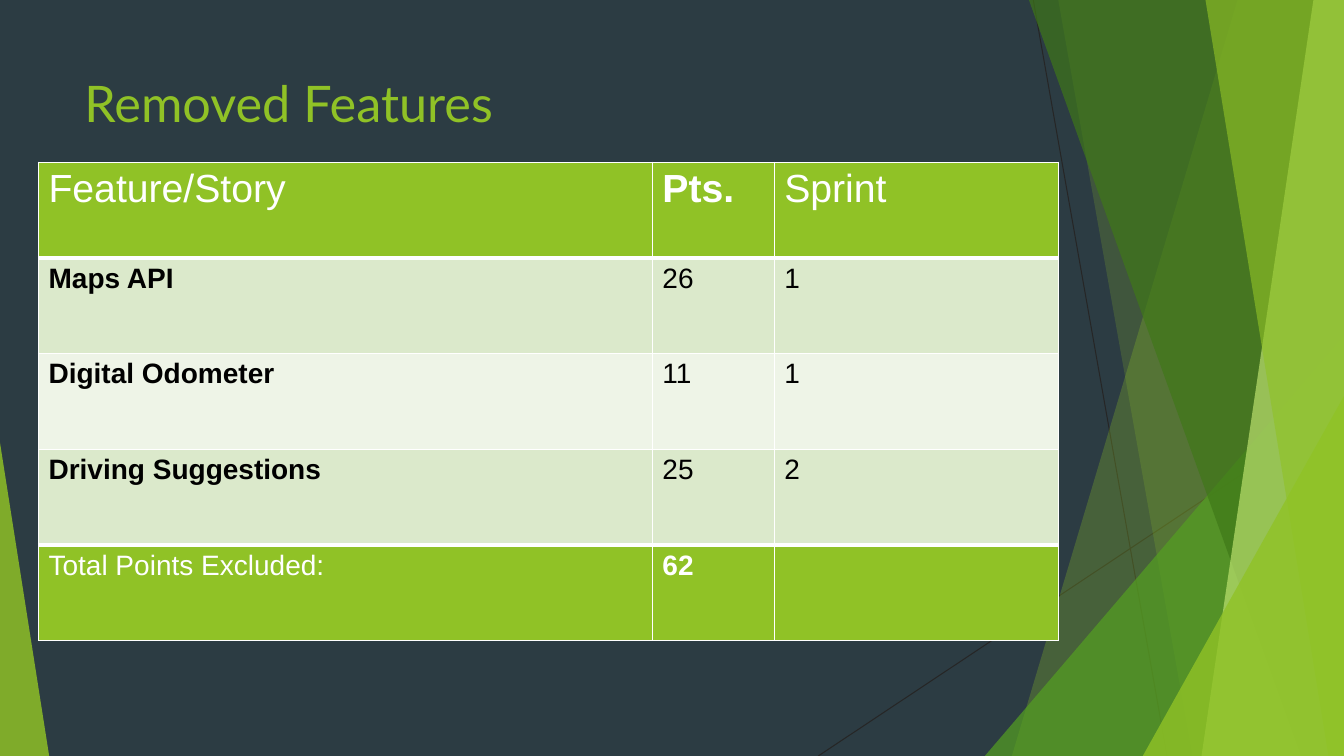
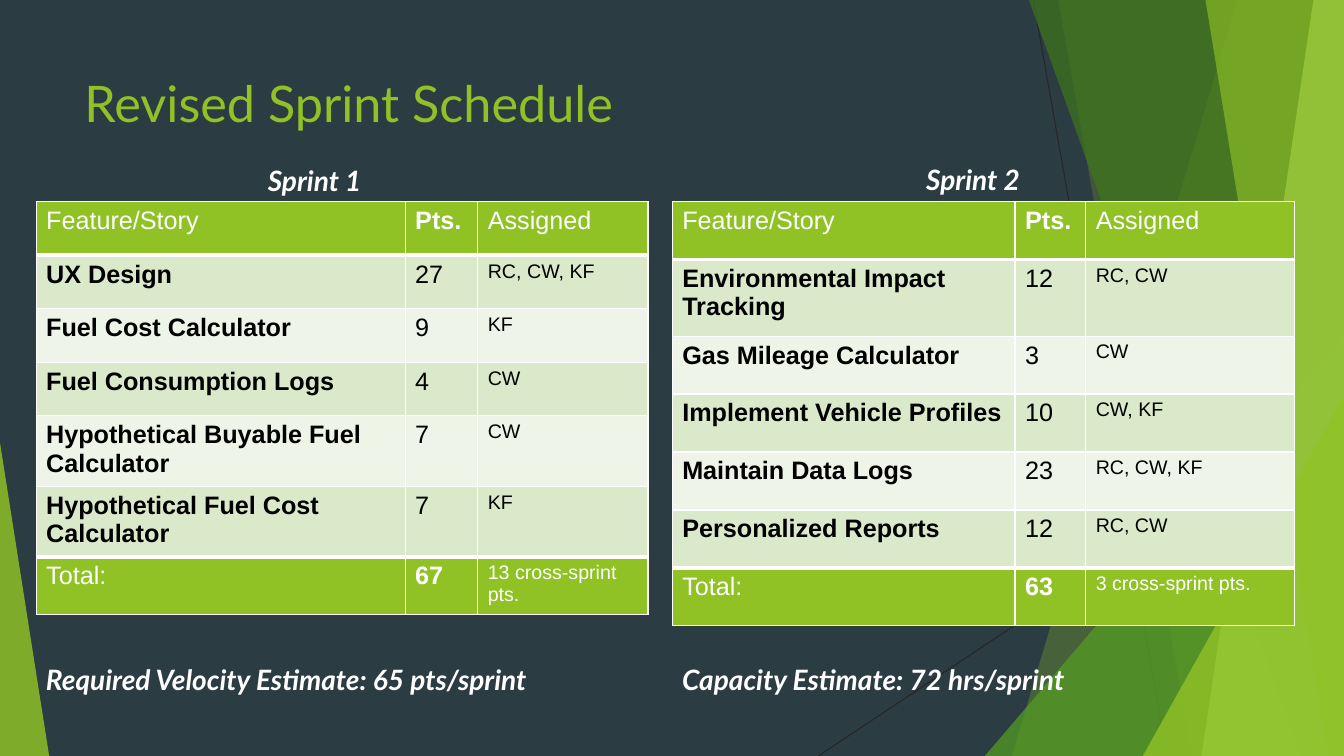
from lxml.etree import SubElement
from pptx import Presentation
from pptx.dml.color import RGBColor
from pptx.enum.shapes import MSO_CONNECTOR, MSO_SHAPE
from pptx.oxml.ns import qn
from pptx.util import Cm, Pt

THEME = {
    "slate": RGBColor.from_string("2C3C43"),
    "lime": RGBColor.from_string("90C226"),
    "green": RGBColor.from_string("54A021"),
    "forest": RGBColor.from_string("3F7818"),
    "pale": RGBColor.from_string("BFE471"),
    "rule": RGBColor.from_string("262626"),
    "odd_row": RGBColor.from_string("DBE9CB"),
    "even_row": RGBColor.from_string("EEF4E7"),
    "white": RGBColor.from_string("FFFFFF"),
    "black": RGBColor.from_string("000000"),
    "title": {"name": "Lato", "size": Pt(36), "bold": False},
    "caption": {"name": "Lato", "size": Pt(20), "bold": True, "italic": True},
    "cell": {"name": "Arial"},
    "large_table": {"header": Pt(28), "body": Pt(20), "last": Pt(20)},
    "small_table": {"header": Pt(18), "body": Pt(18), "last": Pt(14)},
    "thin": Pt(1),
    "thick": Pt(3),
    "hairline": Pt(0.75),
}
WIDTH, HEIGHT = 33.87, 19.05

RULES = [(26.04, 0, 29.41, HEIGHT), (WIDTH, 10.24, 20.62, HEIGHT)]
FACETS = [
    ("band", (31.19, 25.5), "lime", 28),
    ("band", (26.67, 30.05), "lime", 20),
    ("triangle", (24.82, 8.46, WIDTH), "green", 70),
    ("band", (25.93, 32.79), "forest", 68),
    ("band", (33.1, 30.28), "pale", 68),
    ("band", (30.38, 33.48), "lime", 63),
    ("triangle", (28.8, 9.98, WIDTH), "lime", 80),
    ("triangle", (0, 11.15, 1.24), "lime", 83),
]

PAGES = [
    {
        "title": "Removed Features",
        "captions": [],
        "tables": [
            {
                "at": (0.97, 4.09),
                "columns": [15.47, 3.07, 7.16],
                "heights": [2.41] * 5,
                "sizes": "large_table",
                "rows": [
                    ("Feature/Story", "Pts.", "Sprint"),
                    ("Maps API", "26", "1"),
                    ("Digital Odometer", "11", "1"),
                    ("Driving Suggestions", "25", "2"),
                    ("Total Points Excluded:", "62", ""),
                ],
            },
        ],
    },
    {
        "title": "Revised Sprint Schedule",
        "captions": [
            ("Sprint 1", 6.5, 3.99, 3.2),
            ("Sprint 2", 23.09, 3.96, 3.2),
            ("Required Velocity Estimate: 65 pts/sprint", 0.91, 16.56, 16),
            ("Capacity Estimate: 72 hrs/sprint", 16.94, 16.56, 12.12),
        ],
        "tables": [
            {
                "at": (0.91, 5.08),
                "columns": [9.3, 1.83, 4.29],
                "heights": [1.35] * 7,
                "sizes": "small_table",
                "rows": [
                    ("Feature/Story", "Pts.", "Assigned"),
                    ("UX Design", "27", "RC, CW, KF"),
                    ("Fuel Cost Calculator", "9", "KF"),
                    ("Fuel Consumption Logs", "4", "CW"),
                    ("Hypothetical Buyable Fuel Calculator", "7", "CW"),
                    ("Hypothetical Fuel Cost Calculator", "7", "KF"),
                    ("Total:", "67", "13 cross-sprint pts."),
                ],
            },
            {
                "at": (16.94, 5.08),
                "columns": [8.64, 1.78, 5.26],
                "heights": [1.46, 1.93] + [1.46] * 5,
                "sizes": "small_table",
                "rows": [
                    ("Feature/Story", "Pts.", "Assigned"),
                    ("Environmental Impact Tracking", "12", "RC, CW"),
                    ("Gas Mileage Calculator", "3", "CW"),
                    ("Implement Vehicle Profiles", "10", "CW, KF"),
                    ("Maintain Data Logs", "23", "RC, CW, KF"),
                    ("Personalized Reports", "12", "RC, CW"),
                    ("Total:", "63", "3 cross-sprint pts."),
                ],
            },
        ],
    },
]


def write(frame, text, style, colour):
    frame.word_wrap = True
    span = frame.paragraphs[0].add_run()
    span.text = text
    for name, value in style.items():
        setattr(span.font, name, value)
    span.font.color.rgb = THEME[colour]


def set_borders(cell, widths):
    properties = cell._tc.get_or_add_tcPr()
    for side, width in widths.items():
        border = SubElement(properties, qn(f"a:ln{side}"), w=str(width))
        paint = SubElement(border, qn("a:solidFill"))
        SubElement(paint, qn("a:srgbClr"), val=str(THEME["white"]))


deck = Presentation()
deck.slide_width, deck.slide_height = Cm(WIDTH), Cm(HEIGHT)
backdrop = deck.slide_master.background.fill
backdrop.solid()
backdrop.fore_color.rgb = THEME["slate"]

for content in PAGES:
    page = deck.slides.add_slide(deck.slide_layouts[6])

    for ends in RULES:
        rule = page.shapes.add_connector(MSO_CONNECTOR.STRAIGHT, *map(Cm, ends))
        rule.line.color.rgb = THEME["rule"]
        rule.line.width = THEME["hairline"]
        SubElement(rule.element.spPr, qn("a:effectLst"))

    for kind, place, colour, opacity in FACETS:
        if kind == "band":
            top_x, bottom_x = place
            corners = [(WIDTH, 0), (WIDTH, HEIGHT), (bottom_x, HEIGHT)]
            outline = page.shapes.build_freeform(Cm(top_x), 0)
            outline.add_line_segments([(Cm(x), Cm(y)) for x, y in corners], close=True)
            facet = outline.convert_to_shape()
        else:
            left, top, right = place
            facet = page.shapes.add_shape(
                MSO_SHAPE.ISOSCELES_TRIANGLE, Cm(left), Cm(top), Cm(right - left), Cm(HEIGHT - top)
            )
            facet.adjustments[0] = 1 if left else 0
        facet.shadow.inherit = False
        facet.line.fill.background()
        facet.fill.solid()
        facet.fill.fore_color.rgb = THEME[colour]
        paint = facet.element.spPr.find(qn("a:solidFill"))
        SubElement(paint[0], qn("a:alpha"), val=str(opacity * 1000))

    box = page.shapes.add_textbox(Cm(1.88), Cm(1.7), Cm(23.88), Cm(2.72))
    write(box.text_frame, content["title"], THEME["title"], "lime")

    for text, left, top, width in content["captions"]:
        box = page.shapes.add_textbox(Cm(left), Cm(top), Cm(width), Cm(1.12))
        write(box.text_frame, text, THEME["caption"], "white")

    for item in content["tables"]:
        rows, columns, heights = item["rows"], item["columns"], item["heights"]
        left, top = item["at"]
        table = page.shapes.add_table(
            len(rows), len(columns), Cm(left), Cm(top), Cm(sum(columns)), Cm(sum(heights))
        ).table
        table.horz_banding = False
        for column, width in zip(table.columns, columns):
            column.width = Cm(width)
        for row, height in zip(table.rows, heights):
            row.height = Cm(height)

        sizes = THEME[item["sizes"]]
        final = len(rows) - 1
        for r, row in enumerate(rows):
            accent = r in (0, final)
            fill = "lime" if accent else "odd_row" if r % 2 else "even_row"
            for c, text in enumerate(row):
                cell = table.cell(r, c)
                set_borders(cell, {
                    "L": THEME["thin"],
                    "R": THEME["thin"],
                    "T": THEME["thick"] if r in (1, final) else THEME["thin"],
                    "B": THEME["thick"] if r in (0, final - 1) else THEME["thin"],
                })
                cell.fill.solid()
                cell.fill.fore_color.rgb = THEME[fill]
                if text:
                    role = "header" if r == 0 else "last" if c == 2 else "body"
                    style = THEME["cell"] | {"size": sizes[role], "bold": c == (1 if accent else 0)}
                    write(cell.text_frame, text, style, "white" if accent else "black")

deck.save("out.pptx")
